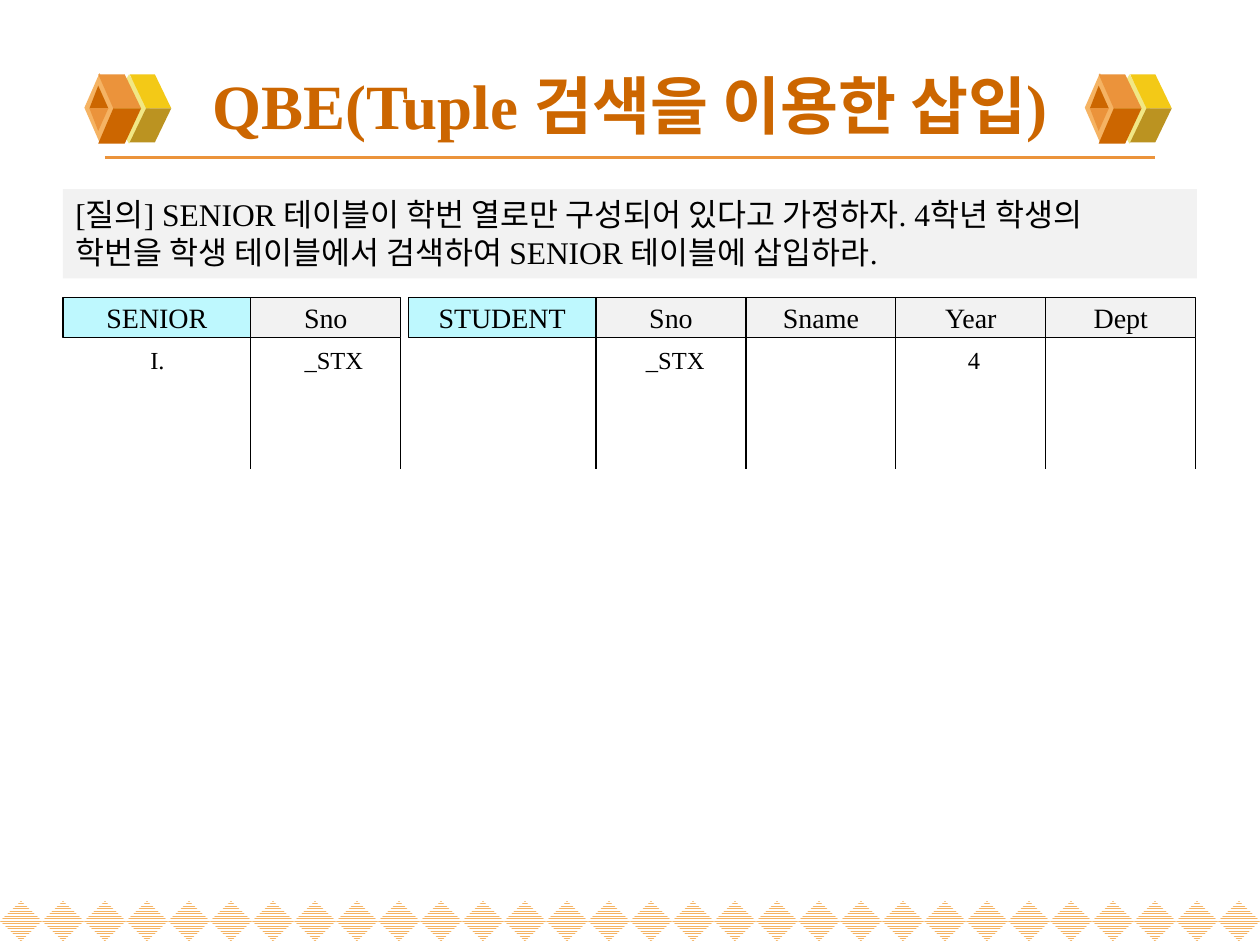
from lxml.etree import SubElement
from pptx import Presentation
from pptx.dml.color import RGBColor
from pptx.enum.dml import MSO_PATTERN
from pptx.enum.shapes import MSO_CONNECTOR, MSO_SHAPE
from pptx.enum.text import MSO_ANCHOR, PP_ALIGN
from pptx.oxml.ns import qn
from pptx.util import Inches, Pt

# Content
TITLE = "QBE(Tuple 검색을 이용한 삽입)"
QUERY = [
    "[질의] SENIOR 테이블이 학번 열로만 구성되어 있다고 가정하자. 4학년 학생의",
    "학번을 학생 테이블에서 검색하여 SENIOR 테이블에 삽입하라.",
]
# Each column: heading, entry below it, indent of the entry
QBE_TABLES = [
    {"left": 0.5, "columns": [("SENIOR", "I.", 0.2), ("Sno", "_STX", 0.11)]},
    {"left": 3.24, "columns": [("STUDENT", "", 0), ("Sno", "_STX", 0.08),
                               ("Sname", "", 0), ("Year", "4", 0.07),
                               ("Dept", "", 0)]},
]

FONT = "Times New Roman"
COLORS = {
    "text": "000000", "title": "CC6600", "rule": "EB933B", "white": "FFFFFF",
    "name": "BEF8FE", "panel": "F2F2F2", "apricot": "F5B363",
    "cream": "F1E785", "yellow": "F3C917", "olive": "BB9321",
    "orange": "EB933B", "brown": "CC6600",
}

# Grid, in inches
WIDTH, HEIGHT, MARGIN = 10, 7.5, 0.5
NAME_W, FIELD_W = 1.49, 1.19
HEAD_TOP, HEAD_H, BODY_BOTTOM = 2.36, 0.32, 3.72
ENTRY_W, ENTRY_H = 1.1, 0.34
DIAMONDS = 30

# Ornament at each end of the title, in hundredths of an inch
ORNAMENT_LEFTS = (67, 861)
ORNAMENT_TOP = 59
ORNAMENT = [
    ("diamond", "cream", (19, 0, 33, 55)),
    ("outline", "yellow", [(49, 27), (69, 27), (56, 0), (36, 0)]),
    ("outline", "olive", [(49, 27), (69, 27), (56, 54), (36, 54)]),
    ("diamond", "apricot", (0, -1, 24, 55)),
    ("outline", "orange", [(23, 27), (45, 27), (32, 0), (11, 0)]),
    ("outline", "brown", [(23, 27), (45, 27), (32, 55), (11, 55)]),
    ("outline", "brown", [(11, 9), (4, 27), (19, 27)]),
    ("outline", "orange", [(11, 45), (4, 27), (19, 27)]),
]


def rgb(name):
    return RGBColor.from_string(COLORS[name])


def paint(shape, fill, border=None):
    shape.shadow.inherit = False
    shape.fill.solid()
    shape.fill.fore_color.rgb = rgb(fill)
    if border:
        shape.line.color.rgb = rgb(border)
        shape.line.width = Pt(0.75)
    else:
        shape.line.fill.background()


def add_preset(slide, kind, *box):
    return slide.shapes.add_shape(kind, *map(Inches, box))


def add_rule(slide, x1, y1, x2, y2, color, points):
    rule = slide.shapes.add_connector(
        MSO_CONNECTOR.STRAIGHT, *map(Inches, (x1, y1, x2, y2)))
    rule.line.color.rgb = rgb(color)
    rule.line.width = Pt(points)
    SubElement(rule._element.spPr, qn("a:effectLst"))


def write(shape, lines, size, color="text", align=PP_ALIGN.CENTER,
          anchor=MSO_ANCHOR.TOP, bold=False):
    frame = shape.text_frame
    frame.word_wrap = True
    frame.vertical_anchor = anchor
    paragraph = frame.paragraphs[0]
    paragraph.alignment = align
    for number, line in enumerate(lines):
        if number:
            paragraph.add_line_break()
        run = paragraph.add_run()
        run.text = line
        run.font.name = FONT
        run.font.size = Pt(size)
        run.font.bold = bold
        run.font.color.rgb = rgb(color)


def add_label(slide, box, lines, size, **style):
    write(slide.shapes.add_textbox(*map(Inches, box)), lines, size, **style)


def draw_border(slide):
    step = WIDTH / DIAMONDS
    for i in range(DIAMONDS):
        diamond = add_preset(slide, MSO_SHAPE.DIAMOND, i * step, 7.15, step, 0.32)
        diamond.shadow.inherit = False
        diamond.line.fill.background()
        diamond.fill.patterned()
        diamond.fill.pattern = MSO_PATTERN.NARROW_HORIZONTAL
        diamond.fill.fore_color.rgb = rgb("apricot")
        diamond.fill.back_color.rgb = rgb("white")


def draw_ornament(slide, left):
    for kind, color, geometry in ORNAMENT:
        if kind == "diamond":
            x, y, w, h = geometry
            part = add_preset(slide, MSO_SHAPE.DIAMOND, (left + x) / 100,
                              (ORNAMENT_TOP + y) / 100, w / 100, h / 100)
        else:
            points = [(left + x, ORNAMENT_TOP + y) for x, y in geometry]
            builder = slide.shapes.build_freeform(*points[0], scale=Inches(0.01))
            builder.add_line_segments(points[1:], close=True)
            part = builder.convert_to_shape()
        paint(part, color)


def draw_qbe_table(slide, left, columns):
    x, body_top = left, HEAD_TOP + HEAD_H
    for i, (heading, entry, indent) in enumerate(columns):
        width = FIELD_W if i else NAME_W
        head = add_preset(slide, MSO_SHAPE.RECTANGLE, x, HEAD_TOP, width, HEAD_H)
        paint(head, "panel" if i else "name", "text")
        write(head, [heading], 16, anchor=MSO_ANCHOR.MIDDLE)
        if entry:
            add_label(slide, (x + indent, body_top + 0.01, ENTRY_W, ENTRY_H),
                      [entry], 14)
        x += width
        add_rule(slide, x, body_top, x, BODY_BOTTOM, "text", 0.75)


def main():
    deck = Presentation()
    deck.slide_width, deck.slide_height = Inches(WIDTH), Inches(HEIGHT)
    slide = deck.slides.add_slide(deck.slide_layouts[6])
    content_w = WIDTH - 2 * MARGIN

    # Decoration
    draw_border(slide)
    add_rule(slide, WIDTH / 12, 1.25, WIDTH * 11 / 12, 1.25, "rule", 2.25)
    for left in ORNAMENT_LEFTS:
        draw_ornament(slide, left)

    # Title and query
    add_label(slide, (MARGIN, 0.4, content_w, 0.85), [TITLE], 36,
              color="title", anchor=MSO_ANCHOR.MIDDLE, bold=True)
    query = add_preset(slide, MSO_SHAPE.RECTANGLE, MARGIN, 1.5, content_w, 0.71)
    paint(query, "panel")
    write(query, QUERY, 18, align=PP_ALIGN.LEFT)

    # Query-by-example tables
    for table in QBE_TABLES:
        draw_qbe_table(slide, **table)

    deck.save("out.pptx")


if __name__ == "__main__":
    main()
